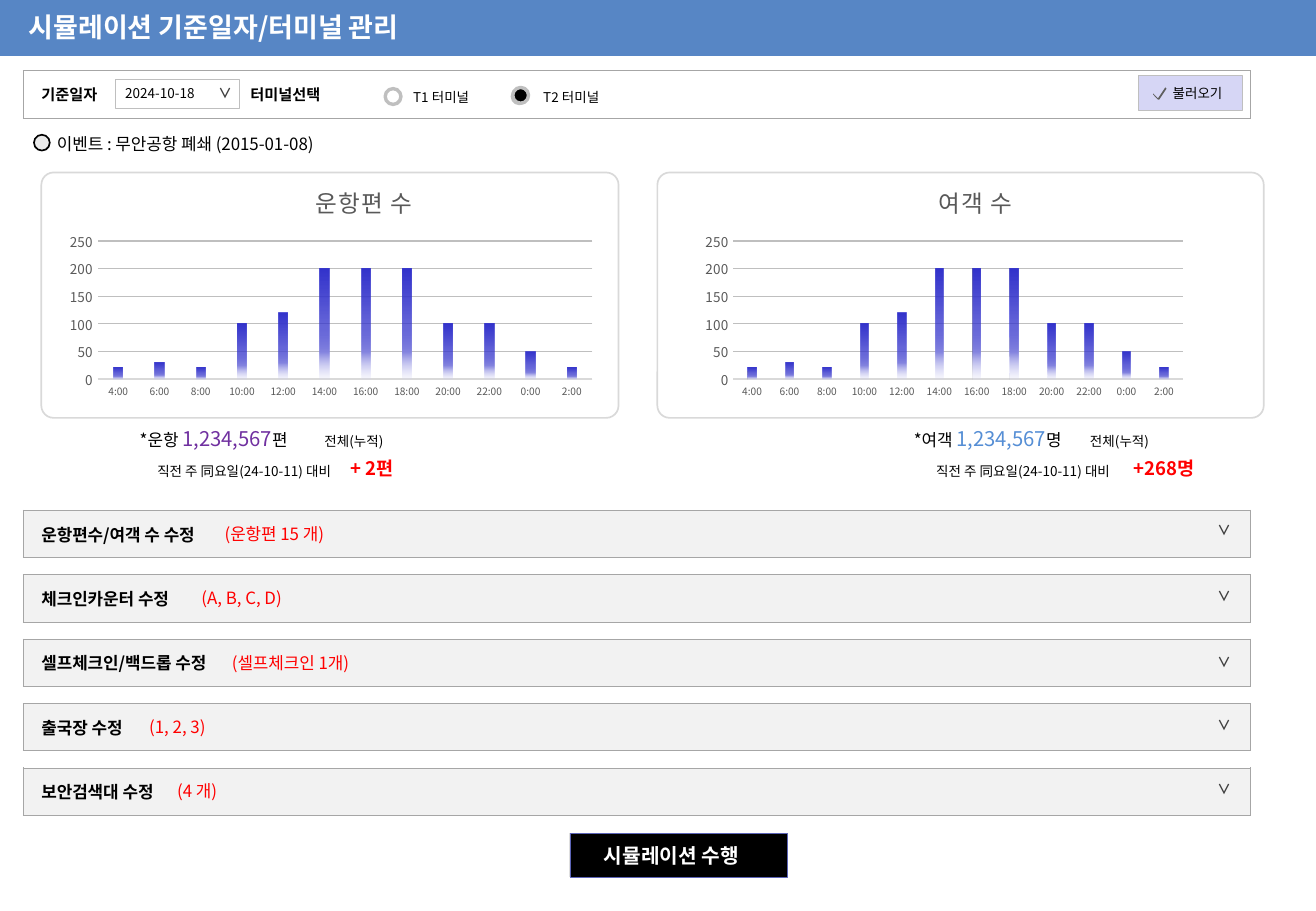
import pptx
import pptx.chart.data
import pptx.dml.color
import pptx.enum.chart
import pptx.enum.shapes
import pptx.enum.text
import pptx.oxml
import pptx.oxml.ns
import pptx.util
from pptx.util import Inches

SHAPES = pptx.enum.shapes.MSO_SHAPE
ALIGN = pptx.enum.text.PP_ALIGN
ANCHOR = pptx.enum.text.MSO_ANCHOR
NO_INSETS = (0, 0, 0, 0)
TEXT_INSETS = (0.1, 0.05, 0.1, 0.05)
BUTTON_INSETS = (0.08, 0.04, 0.08, 0.04)
HOURS = ["4:00", "6:00", "8:00", "10:00", "12:00", "14:00",
         "16:00", "18:00", "20:00", "22:00", "0:00", "2:00"]
COUNTS = [20, 30, 20, 100, 120, 200, 200, 200, 100, 100, 50, 20]
GRADIENT = [(0, "3333CC", 100), (51, "3333CC", 75), (75, "8585E0", 100), (100, "D6D6F5", 15)]


def color(value):
    return pptx.dml.color.RGBColor.from_string(value)


def xml(markup, *prefixes):
    tag, rest = markup.split(">", 1)
    closing = "/" if tag.endswith("/") else ""
    return pptx.oxml.parse_xml(f"{tag.rstrip('/')} {pptx.oxml.ns.nsdecls(*prefixes)}{closing}>{rest}")


def manual_layout(target="", **values):
    inner = f'<c:layoutTarget val="{target}"/>' if target else ""
    inner += '<c:xMode val="edge"/><c:yMode val="edge"/>'
    inner += "".join(f'<c:{name} val="{value}"/>' for name, value in values.items())
    return xml(f"<c:layout><c:manualLayout>{inner}</c:manualLayout></c:layout>", "c")


class Page:
    font = "Noto Sans CJK KR"

    def __init__(self, slide):
        self.slide = slide

    def style_run(self, run, size, ink, bold=False):
        run.font.size = pptx.util.Pt(size)
        run.font.bold = bold
        run.font.color.rgb = color(ink)
        run.font.name = self.font
        run._r.get_or_add_rPr().append(xml(f'<a:ea typeface="{self.font}"/>', "a"))

    def set_text(self, frame, parts, insets, align=ALIGN.LEFT, tab=None, after=0):
        frame.margin_left, frame.margin_top, frame.margin_right, frame.margin_bottom = map(Inches, insets)
        paragraph = frame.paragraphs[0]
        paragraph.alignment = align
        if after:
            paragraph.space_after = pptx.util.Pt(after)
        if tab:
            self.tab(paragraph, tab)
        for text, *style in parts:
            run = paragraph.add_run()
            run.text = text
            self.style_run(run, *style)

    def tab(self, paragraph, position):
        paragraph._p.get_or_add_pPr().append(
            xml(f'<a:tabLst><a:tab pos="{Inches(position)}" algn="l"/></a:tabLst>', "a"))

    def text(self, box, parts, insets=TEXT_INSETS, **options):
        frame = self.slide.shapes.add_textbox(*map(Inches, box)).text_frame
        frame.word_wrap = True
        frame.auto_size = pptx.enum.text.MSO_AUTO_SIZE.SHAPE_TO_FIT_TEXT
        self.set_text(frame, parts, insets, **options)

    def paint(self, shape, fill=None, line=None, width=0.25):
        shape.shadow.inherit = False
        if fill:
            shape.fill.solid()
            shape.fill.fore_color.rgb = color(fill)
        else:
            shape.fill.background()
        if line:
            shape.line.color.rgb = color(line)
            shape.line.width = pptx.util.Pt(width)
        else:
            shape.line.fill.background()

    def shape(self, kind, box, fill=None, line=None, width=0.25, corner=None,
              parts=(), insets=BUTTON_INSETS, align=ALIGN.LEFT):
        shape = self.slide.shapes.add_shape(kind, *map(Inches, box))
        self.paint(shape, fill, line, width)
        if corner is not None:
            shape.adjustments[0] = corner
        if parts:
            shape.text_frame.word_wrap = False
            shape.text_frame.vertical_anchor = ANCHOR.MIDDLE
            self.set_text(shape.text_frame, parts, insets, align)

    def chevron(self, left, top):
        self.shape(SHAPES.ROUNDED_RECTANGLE, (left, top, 0.28, 0.28), corner=0,
                   parts=[("∨", 8, "404040", True)], align=ALIGN.RIGHT)

    def radio(self, left, top, fill, line, width):
        self.shape(SHAPES.OVAL, (left, top, 0.13, 0.13), fill, line, width)

    def bar(self, top, parts, fill=None, tab=None):
        table = self.slide.shapes.add_table(1, 1, *map(Inches, (0.19, top, 10.1, 0.39))).table
        table.first_row = table.horz_banding = False
        cell = table.cell(0, 0)
        cell.vertical_anchor = ANCHOR.MIDDLE
        self.set_text(cell.text_frame, parts, NO_INSETS, tab=tab)
        cell.margin_left = Inches(0.15)
        cell.margin_top = cell.margin_right = cell.margin_bottom = Inches(0.08)
        properties = cell._tc.get_or_add_tcPr()
        for side in "LRTB":
            properties.append(xml(f'<a:ln{side} w="3175"><a:solidFill><a:srgbClr val="A6A6A6"/>'
                                  f'</a:solidFill></a:ln{side}>', "a"))
        if fill:
            cell.fill.solid()
            cell.fill.fore_color.rgb = color(fill)
        else:
            cell.fill.background()

    def chart(self, box, title, title_left):
        data = pptx.chart.data.CategoryChartData()
        data.categories = HOURS
        data.add_series("Series 1", COUNTS)
        chart = self.slide.shapes.add_chart(
            pptx.enum.chart.XL_CHART_TYPE.COLUMN_CLUSTERED, *map(Inches, box), data).chart
        chart.has_legend = False
        chart.font.size = pptx.util.Pt(10)
        chart.font.name = "Arial"
        chart.font.color.rgb = color("000000")
        chart.has_title = True
        frame = chart.chart_title.text_frame
        frame.text = title
        run = frame.paragraphs[0].runs[0]
        self.style_run(run, 14, "595959")
        run._r.get_or_add_rPr().set("spc", "50")
        chart.chart_title._element.find(pptx.oxml.ns.qn("c:tx")).addnext(
            manual_layout(x=title_left, y=0.08))
        area = chart._chartSpace.chart.plotArea
        for old in area.findall(pptx.oxml.ns.qn("c:layout")):
            area.remove(old)
        area.insert(0, manual_layout("inner", x=0.081, y=0.297, w=0.777, h=0.549))
        for axis, size in ((chart.category_axis, 6), (chart.value_axis, 8)):
            axis.major_tick_mark = axis.minor_tick_mark = pptx.enum.chart.XL_TICK_MARK.NONE
            axis.tick_labels.font.size = pptx.util.Pt(size)
            axis.tick_labels.font.name = self.font
            axis.tick_labels.font.color.rgb = color("595959")
        values = chart.value_axis
        values.minimum_scale, values.maximum_scale, values.major_unit = 0, 250, 50
        values.format.line.fill.background()
        for line, ink in ((chart.category_axis.format.line, "D9D9D9"),
                          (values.major_gridlines.format.line, "BFBFBF")):
            line.color.rgb = color(ink)
            line.width = pptx.util.Pt(0.75)
        plot = chart.plots[0]
        plot.gap_width, plot.overlap, plot.vary_by_categories = 355, -70, False
        stops = "".join(f'<a:gs pos="{at * 1000}"><a:srgbClr val="{ink}"><a:alpha val="{alpha * 1000}"/>'
                        f'</a:srgbClr></a:gs>' for at, ink, alpha in GRADIENT)
        plot.series[0]._element.get_or_add_spPr().insert(0, xml(
            f'<a:gradFill><a:gsLst>{stops}</a:gsLst><a:lin ang="5400000" scaled="0"/></a:gradFill>', "a"))

    def check(self, points, fill):
        start, *rest = [tuple(map(Inches, point)) for point in points]
        builder = self.slide.shapes.build_freeform(*start)
        builder.add_line_segments(rest, close=True)
        self.paint(builder.convert_to_shape(), fill)


def main():
    presentation = pptx.Presentation()
    presentation.slide_width, presentation.slide_height = Inches(10.83), Inches(7.5)
    page = Page(presentation.slides.add_slide(presentation.slide_layouts[6]))

    page.shape(SHAPES.RECTANGLE, (0, 0, 10.83, 0.46), "5786C5")
    page.text((0.14, 0.04, 10.7, 0.37), [("시뮬레이션 기준일자/터미널 관리", 16, "FFFFFF", True)])

    page.bar(0.58, [("기준일자\t터미널선택", 9, "000000", True)], tab=1.72)
    page.shape(SHAPES.RECTANGLE, (0.95, 0.65, 1.02, 0.24), "FFFFFF", "BFBFBF",
               parts=[("2024-10-18", 8, "000000")])
    page.chevron(1.71, 0.63)
    page.shape(SHAPES.RECTANGLE, (9.37, 0.62, 0.85, 0.29), "D6D6F5", "BFBFBF",
               parts=[("불러오기", 8, "000000")], insets=(0.28, 0.08, 0.12, 0.08))
    page.check([(9.59, 0.72), (9.53, 0.81), (9.49, 0.77), (9.49, 0.78),
                (9.53, 0.82), (9.54, 0.82), (9.6, 0.73)], "5F5F5F")
    page.radio(3.17, 0.73, "FFFFFF", "BFBFBF", 2)
    for left, terminal in ((4.39, "T2 터미널"), (3.32, "T1 터미널")):
        page.shape(SHAPES.RECTANGLE, (left, 0.68, 1.02, 0.24), "FFFFFF", parts=[(terminal, 8, "000000")])
    page.radio(4.21, 0.73, "EAEAEA", "BFBFBF", 1)
    page.radio(4.22, 0.72, "000000", "BFBFBF", 2)

    page.text((0.37, 1.05, 3.85, 0.27), [("이벤트 : 무안공항 폐쇄 (2015-01-08)", 10, "000000")])
    page.radio(0.28, 1.11, "EAEAEA", "000000", 1)

    panels = [
        (0.34, 4.75, 0.38, 5.24, "운항편 수", 0.42, 0.34, 0.81, 1.52, "*운항 ", "7030A0", "편",
         1.24, 2.58, "+ 2편", 0.05),
        (5.41, 4.99, 5.65, 4.76, "여객 수", 0.43, 6.68, 0.84, 1.45, "*여객 ", "558ED5", "명",
         7.65, 9.12, "+268명", 0),
    ]
    for (frame_left, frame_width, chart_left, chart_width, title, title_left, total_left, inset, tab,
         label, ink, unit, week_left, change_left, change, change_inset) in panels:
        page.shape(SHAPES.ROUNDED_RECTANGLE, (frame_left, 1.42, frame_width, 2.02),
                   line="D9D9D9", width=1, corner=0.05)
        page.chart((chart_left, 1.37, chart_width, 2.07), title, title_left)
        page.text((total_left, 3.46, 3.73, 0.3),
                  [(label, 10, "000000"), ("1,234,567", 12, ink), (unit + "\t", 10, "000000"),
                   ("전체(누적)", 8, "000000")], (inset, 0.05, 0.1, 0.05), tab=tab)
        page.text((week_left, 3.81, 1.54, 0.13), [("직전 주 同요일(24-10-11) 대비", 8, "000000")],
                  NO_INSETS, align=ALIGN.CENTER, after=3)
        page.text((change_left, 3.76, 0.71, 0.19), [(change, 11, "FF0000", True)],
                  (0, 0, change_inset, 0), align=ALIGN.RIGHT, after=3)

    sections = [
        ("운항편수/여객 수 수정", "(운항편 15 개)", 1.75, 4.22),
        ("체크인카운터 수정", "(A, B, C, D)", 1.56, 4.77),
        ("셀프체크인/백드롭 수정", "(셀프체크인 1개)", 1.81, 5.31),
        ("출국장 수정", "(1, 2, 3)", 1.13, 5.83),
        ("보안검색대 수정", "(4 개)", 1.36, 6.36),
    ]
    for index, (name, detail, detail_left, chevron_top) in enumerate(sections):
        top = 4.2 + 0.53 * index
        page.bar(top, [(name, 10, "000000", True)], "F2F2F2")
        page.chevron(9.93, chevron_top)
        page.text((detail_left, top + 0.06, 1.46, 0.27), [(detail, 10, "FF0000")])

    page.shape(SHAPES.RECTANGLE, (4.69, 6.86, 1.79, 0.36), "000000", "5C64B7",
               parts=[("시뮬레이션 수행", 12, "FFFFFF", True)], insets=(0.28, 0.12, 0.28, 0.12))
    presentation.save("out.pptx")


if __name__ == "__main__":
    main()
